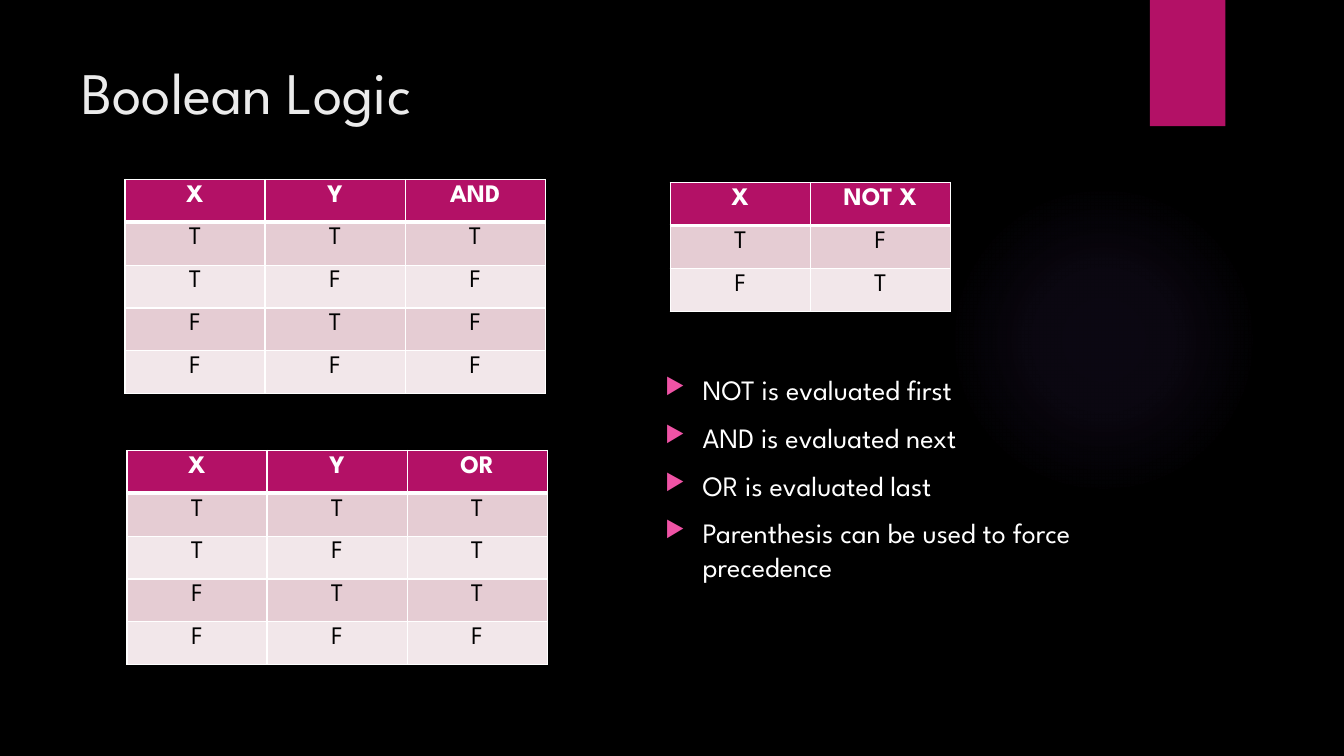
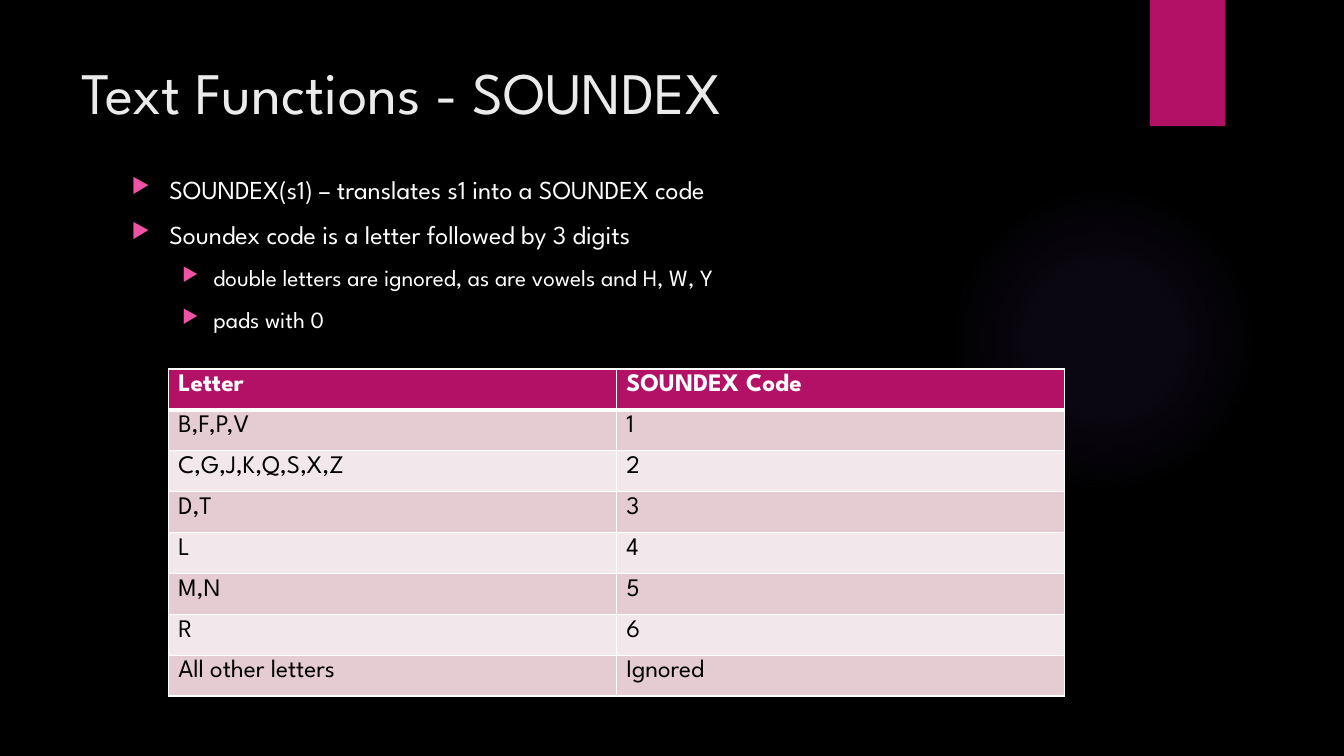
import pptx
import pptx.dml.color
import pptx.enum.shapes
import pptx.enum.text
import pptx.oxml
import pptx.oxml.ns
import pptx.util
from pptx.util import Cm

FONT = "League Spartan"
MAGENTA, PINK, VIOLET = "B31166", "EF53A5", "9B6BF2"
WHITE, BLACK, TITLE_GREY = "FFFFFF", "000000", "EBEBEB"
BANDS = ("F2E7EA", "E5CCD3")
LEVEL_INDENTS = ((0.95, -0.95), (2.06, -0.79))
TEXT_LEADING, TABLE_LEADING = 1.2, 0.92
LEFT = pptx.enum.text.PP_ALIGN.LEFT
CENTER = pptx.enum.text.PP_ALIGN.CENTER


def color(value):
    return pptx.dml.color.RGBColor.from_string(value)


def apply(target, values):
    for name, value in values.items():
        setattr(target, name, value)


def append_xml(parent, tag, attributes, content=""):
    namespace = pptx.oxml.ns.nsdecls("a")
    element = pptx.oxml.parse_xml(f"<a:{tag} {namespace} {attributes}>{content}</a:{tag}>")
    parent.append(element)
    return element


class Deck:
    """Hold the shared style and the slide being built."""

    def __init__(self):
        self.presentation = pptx.Presentation()
        apply(self.presentation, {"slide_width": Cm(33.87), "slide_height": Cm(19.05)})
        backdrop = self.presentation.slide_master.background.fill
        backdrop.solid()
        backdrop.fore_color.rgb = color(BLACK)
        self.slide = None

    def start_slide(self, title):
        self.slide = self.presentation.slides.add_slide(self.presentation.slide_layouts[6])
        self.glow(23.9, 4.65, 7.82)
        self.ribbon(28.98, 0, 1.9, 3.18)
        heading = self.text_frame(1.8, 1.27, 26.14, 3.89)
        self.add_text(heading.paragraphs[0], title, 42, TITLE_GREY)

    def shape(self, kind, *box):
        outline = self.slide.shapes.add_shape(kind, *map(Cm, box))
        outline.shadow.inherit = False
        outline.line.fill.background()
        return outline

    def glow(self, left, top, size):
        halo = self.shape(pptx.enum.shapes.MSO_SHAPE.OVAL, left, top, size, size)
        stops = "".join(
            f'<a:gs pos="{position}000"><a:srgbClr val="{VIOLET}">'
            f'<a:alpha val="{opacity}000"/></a:srgbClr></a:gs>'
            for position, opacity in ((0, 7), (36, 6), (69, 0), (100, 0))
        )
        center = '<a:path path="circle"><a:fillToRect l="50000" t="50000" r="50000" b="50000"/></a:path>'
        properties = halo.element.spPr
        gradient = append_xml(properties, "gradFill", "", f"<a:gsLst>{stops}</a:gsLst>{center}")
        properties.find(pptx.oxml.ns.qn("a:prstGeom")).addnext(gradient)

    def ribbon(self, *box):
        band = self.shape(pptx.enum.shapes.MSO_SHAPE.RECTANGLE, *box)
        band.fill.solid()
        band.fill.fore_color.rgb = color(MAGENTA)

    def text_frame(self, *box):
        frame = self.slide.shapes.add_textbox(*map(Cm, box)).text_frame
        frame.word_wrap = True
        return frame

    def add_text(self, paragraph, text, size, ink, bold=False, align=LEFT, leading=TEXT_LEADING):
        apply(paragraph, {"alignment": align, "line_spacing": pptx.util.Pt(round(size * leading, 1))})
        run = paragraph.add_run()
        run.text = text
        apply(run.font, {"name": FONT, "size": pptx.util.Pt(size), "bold": bold})
        run.font.color.rgb = color(ink)

    def bullets(self, box, sizes, items):
        frame = self.text_frame(*box)
        for number, (level, text) in enumerate(items):
            paragraph = frame.add_paragraph() if number else frame.paragraphs[0]
            self.add_text(paragraph, text, sizes[level], WHITE)
            apply(paragraph, {"level": level, "space_before": pptx.util.Pt(10 if number else 0)})
            margin, hanging = LEVEL_INDENTS[level]
            properties = paragraph._p.get_or_add_pPr()
            properties.set("marL", str(Cm(margin)))
            properties.set("indent", str(Cm(hanging)))
            append_xml(properties, "buClr", "", f'<a:srgbClr val="{PINK}"/>')
            append_xml(properties, "buSzPct", 'val="80000"')
            append_xml(properties, "buChar", 'char="▶"')

    def table(self, left, top, column_width, row_height, rows, align=CENTER):
        columns = len(rows[0])
        box = (left, top, column_width * columns, row_height * len(rows))
        grid = self.slide.shapes.add_table(len(rows), columns, *map(Cm, box)).table
        grid.horz_banding = False
        for column in grid.columns:
            column.width = Cm(column_width)
        for row_number, texts in enumerate(rows):
            grid.rows[row_number].height = Cm(row_height)
            for column_number, text in enumerate(texts):
                self.cell(grid.cell(row_number, column_number), row_number, text, align)

    def cell(self, cell, row_number, text, align):
        header = row_number == 0
        widths = {"L": 1, "R": 1, "T": 3 if row_number == 1 else 1, "B": 3 if header else 1}
        for side, width in widths.items():
            append_xml(
                cell._tc.get_or_add_tcPr(), f"ln{side}", f'w="{pptx.util.Pt(width)}"',
                f'<a:solidFill><a:srgbClr val="{WHITE}"/></a:solidFill>',
            )
        cell.fill.solid()
        cell.fill.fore_color.rgb = color(MAGENTA if header else BANDS[row_number % 2])
        ink = WHITE if header else BLACK
        self.add_text(cell.text_frame.paragraphs[0], text, 18, ink, header, align, TABLE_LEADING)


def boolean_logic(deck):
    deck.start_slide("Boolean Logic")
    inputs = ("TT", "TF", "FT", "FF")
    for left, top, operator, results in (
        (3.15, 4.52, "AND", "TFFF"),
        (3.2, 11.35, "OR", "TTTF"),
    ):
        truths = [(*pair, result) for pair, result in zip(inputs, results)]
        deck.table(left, top, 3.53, 1.08, [("X", "Y", operator), *truths])
    deck.table(16.89, 4.6, 3.53, 1.08, [("X", "NOT X"), ("T", "F"), ("F", "T")])
    deck.bullets((16.51, 9.27, 14, 8.15), (20,), [
        (0, "NOT is evaluated first"),
        (0, "AND is evaluated next"),
        (0, "OR is evaluated last"),
        (0, "Parenthesis can be used to force precedence"),
    ])


def soundex(deck):
    deck.start_slide("Text Functions - SOUNDEX")
    deck.bullets((3.07, 4.24, 24.84, 4.14), (18.5, 16.6), [
        (0, "SOUNDEX(s1) – translates s1 into a SOUNDEX code"),
        (0, "Soundex code is a letter followed by 3 digits"),
        (1, "double letters are ignored, as are vowels and H, W, Y"),
        (1, "pads with 0"),
    ])
    letters = ("B,F,P,V", "C,G,J,K,Q,S,X,Z", "D,T", "L", "M,N", "R")
    codes = [(group, str(code)) for code, group in enumerate(letters, 1)]
    rows = [("Letter", "SOUNDEX Code"), *codes, ("All other letters", "Ignored")]
    deck.table(4.24, 9.3, 11.29, 1.03, rows, LEFT)


def main():
    deck = Deck()
    boolean_logic(deck)
    soundex(deck)
    deck.presentation.save("out.pptx")


if __name__ == "__main__":
    main()
